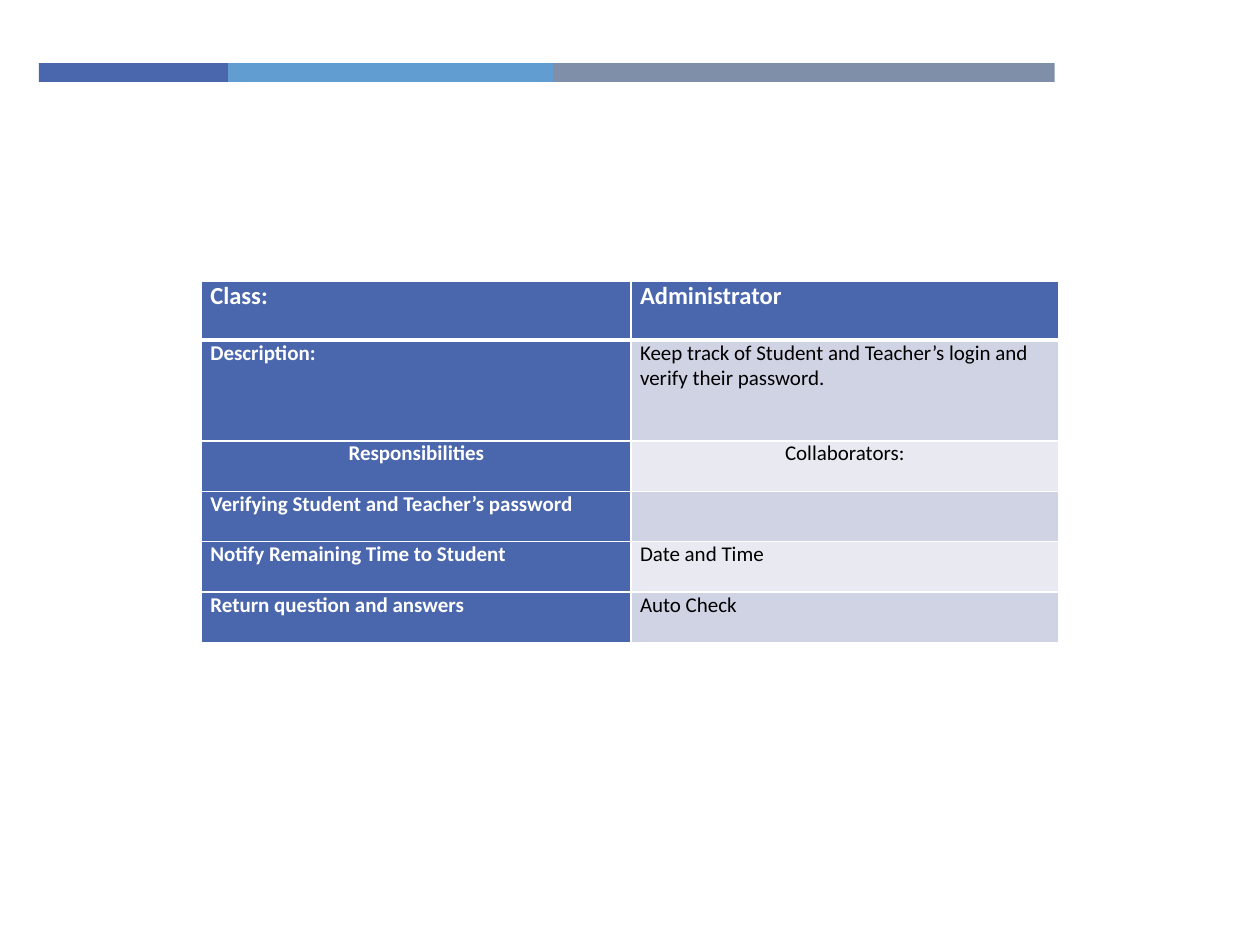
from lxml.etree import SubElement
from pptx import Presentation
from pptx.dml.color import RGBColor
from pptx.enum.shapes import MSO_SHAPE as Shape
from pptx.enum.text import PP_ALIGN as Align
from pptx.oxml.ns import qn
from pptx.util import Inches, Pt

BLUE, WHITE, BLACK = "4A66AC", "FFFFFF", "000000"
BANDS = ["D0D3E3", "E9EAF1"]
STRIPE = [(1.5, BLUE), (2.58, "629DD1"), (3.98, "7F8FA9")]
STRIPE_LEFT, STRIPE_TOP, STRIPE_HEIGHT = 0.31, 0.5, 0.15
TABLE_LEFT, TABLE_TOP = 1.6, 2.23
COLUMNS = [3.41, 3.39]
ROWS = [
    (0.47, "Class:", "Administrator"),
    (0.8, "Description:", "Keep track of Student and Teacher’s login and verify their password."),
    (0.4, "Responsibilities", "Collaborators:"),
    (0.4, "Verifying Student and Teacher’s password", ""),
    (0.4, "Notify Remaining Time to Student", "Date and Time"),
    (0.4, "Return question and answers", "Auto Check"),
]
HEADER_ROW, CENTRED_ROW = 0, 2


def paint(fill, color):
    fill.solid()
    fill.fore_color.rgb = RGBColor.from_string(color)


def add_borders(cell, widths):
    properties = cell._tc.get_or_add_tcPr()
    for side, width in widths.items():
        line = SubElement(properties, qn(f"a:ln{side}"), w=str(Pt(width)))
        solid = SubElement(line, qn("a:solidFill"))
        SubElement(solid, qn("a:srgbClr"), val=WHITE)


def add_stripe(slide):
    left = STRIPE_LEFT
    for width, color in STRIPE:
        bar = slide.shapes.add_shape(
            Shape.RECTANGLE, Inches(left), Inches(STRIPE_TOP), Inches(width), Inches(STRIPE_HEIGHT))
        bar.shadow.inherit = False
        bar.line.fill.background()
        paint(bar.fill, color)
        left += width


def fill_cell(cell, text, row, column):
    header = row == HEADER_ROW
    strong = header or column == 0
    add_borders(cell, {"L": 1, "R": 1, "T": 3 if row == HEADER_ROW + 1 else 1, "B": 3 if header else 1})
    paint(cell.fill, BLUE if strong else BANDS[(row - 1) % 2])
    cell.margin_left = cell.margin_right = Inches(0.07)
    cell.margin_top = cell.margin_bottom = 0
    para = cell.text_frame.paragraphs[0]
    para.text = text
    para.alignment = Align.CENTER if row == CENTRED_ROW else Align.LEFT
    para.font.name = "Calibri"
    para.font.size = Pt(14 if header else 12)
    para.font.bold = strong
    para.font.color.rgb = RGBColor.from_string(WHITE if strong else BLACK)


def add_class_card(slide):
    height = sum(row[0] for row in ROWS)
    table = slide.shapes.add_table(
        len(ROWS), len(COLUMNS), Inches(TABLE_LEFT), Inches(TABLE_TOP),
        Inches(sum(COLUMNS)), Inches(height)).table
    for column, width in enumerate(COLUMNS):
        table.columns[column].width = Inches(width)
    for row, (row_height, *texts) in enumerate(ROWS):
        table.rows[row].height = Inches(row_height)
        for column, text in enumerate(texts):
            fill_cell(table.cell(row, column), text, row, column)


def main():
    """Build the class card slide for the administrator."""
    deck = Presentation()
    deck.slide_width, deck.slide_height = Inches(10), Inches(7.5)
    slide = deck.slides.add_slide(deck.slide_layouts[6])
    add_stripe(slide)
    add_class_card(slide)
    deck.save("out.pptx")


if __name__ == "__main__":
    main()
